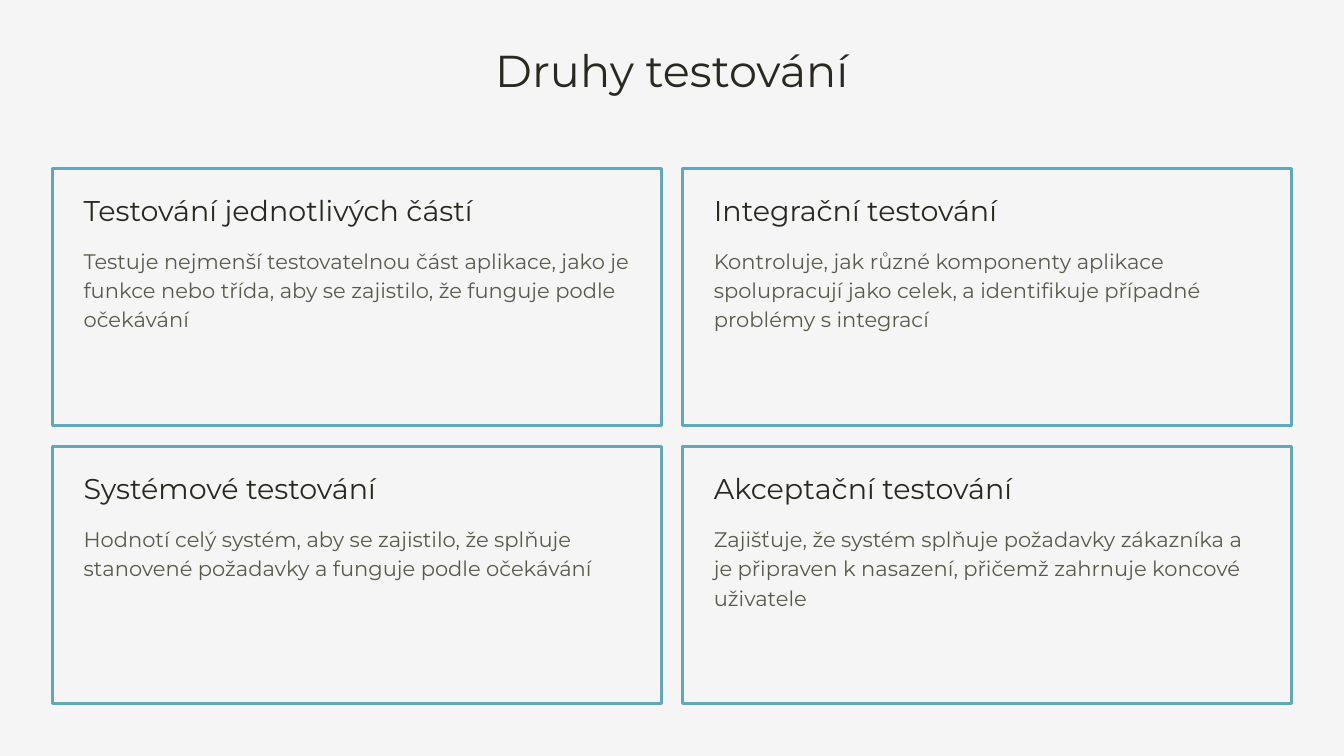
from dataclasses import dataclass

from pptx import Presentation
from pptx.dml.color import RGBColor
from pptx.enum.text import MSO_ANCHOR, MSO_AUTO_SIZE, PP_ALIGN
from pptx.slide import Slide
from pptx.text.text import TextFrame
from pptx.util import Inches, Pt

COLORS = {
    "background": "F5F5F5",
    "border": "62A8BB",
    "heading": "2A2921",
    "body": "5A5A4C",
}
FONT = "Montserrat"
LEFT, TOP = 0.52, 1.67
CARD_WIDTH, CARD_HEIGHT = 6.04, 2.55
COLUMN_STEP, ROW_STEP = 6.25, 2.76
PADDING = 0.31
BODY_LINE = 0.29


@dataclass(frozen=True)
class TestingType:
    heading: str
    description: str
    description_width: float
    lines: int


TESTING_TYPES = [
    TestingType(
        "Testování jednotlivých částí",
        "Testuje nejmenší testovatelnou část aplikace, jako je funkce "
        "nebo třída, aby se zajistilo, že funguje podle očekávání",
        6.07, 3,
    ),
    TestingType(
        "Integrační testování",
        "Kontroluje, jak různé komponenty aplikace spolupracují jako "
        "celek, a identifikuje případné problémy s integrací",
        5.42, 3,
    ),
    TestingType(
        "Systémové testování",
        "Hodnotí celý systém, aby se zajistilo, že splňuje stanovené "
        "požadavky a funguje podle očekávání",
        5.59, 2,
    ),
    TestingType(
        "Akceptační testování",
        "Zajišťuje, že systém splňuje požadavky zákazníka a je připraven "
        "k nasazení, přičemž zahrnuje koncové uživatele",
        5.33, 3,
    ),
]


def color(name: str) -> RGBColor:
    return RGBColor.from_string(COLORS[name])


def write(frame: TextFrame, text: str, *, size: float, leading: float,
          tint: str, align: PP_ALIGN = PP_ALIGN.LEFT) -> None:
    frame.word_wrap = True
    frame.auto_size = MSO_AUTO_SIZE.NONE
    frame.vertical_anchor = MSO_ANCHOR.TOP
    frame.margin_left = frame.margin_right = 0
    frame.margin_top = frame.margin_bottom = 0
    paragraph = frame.paragraphs[0]
    paragraph.alignment = align
    paragraph.line_spacing = Pt(leading)
    paragraph.space_before = Pt(0)
    run = paragraph.add_run()
    run.text = text
    run.font.name = FONT
    run.font.size = Pt(size)
    run.font.color.rgb = color(tint)


def add_title(slide: Slide, text: str) -> None:
    title = slide.shapes.title
    title.left, title.top = Inches(0), Inches(0.4)
    title.width, title.height = Inches(13.33), Inches(0.56)
    write(title.text_frame, text, size=31.9, leading=40.2,
          tint="heading", align=PP_ALIGN.CENTER)


def add_card(slide: Slide, testing: TestingType, left: float, top: float) -> None:
    card = slide.shapes.add_shape(
        1, Inches(left), Inches(top), Inches(CARD_WIDTH), Inches(CARD_HEIGHT))
    card.shadow.inherit = False
    card.fill.background()
    card.line.color.rgb = color("border")
    card.line.width = Pt(2)

    text_left = Inches(left + PADDING)
    heading = slide.shapes.add_textbox(
        text_left, Inches(top + 0.23), Inches(6.07), Inches(0.36))
    write(heading.text_frame, testing.heading,
          size=20.4, leading=25.7, tint="heading")
    description = slide.shapes.add_textbox(
        text_left, Inches(top + 0.75),
        Inches(testing.description_width), Inches(testing.lines * BODY_LINE))
    write(description.text_frame, testing.description,
          size=15, leading=21, tint="body")


def main() -> None:
    deck = Presentation()
    deck.slide_width, deck.slide_height = Inches(13.33), Inches(7.5)
    slide = deck.slides.add_slide(deck.slide_layouts.get_by_name("Title Only"))
    slide.background.fill.solid()
    slide.background.fill.fore_color.rgb = color("background")

    add_title(slide, "Druhy testování")
    for index, testing in enumerate(TESTING_TYPES):
        row, column = divmod(index, 2)
        add_card(slide, testing, LEFT + column * COLUMN_STEP, TOP + row * ROW_STEP)

    deck.save("out.pptx")


if __name__ == "__main__":
    main()
